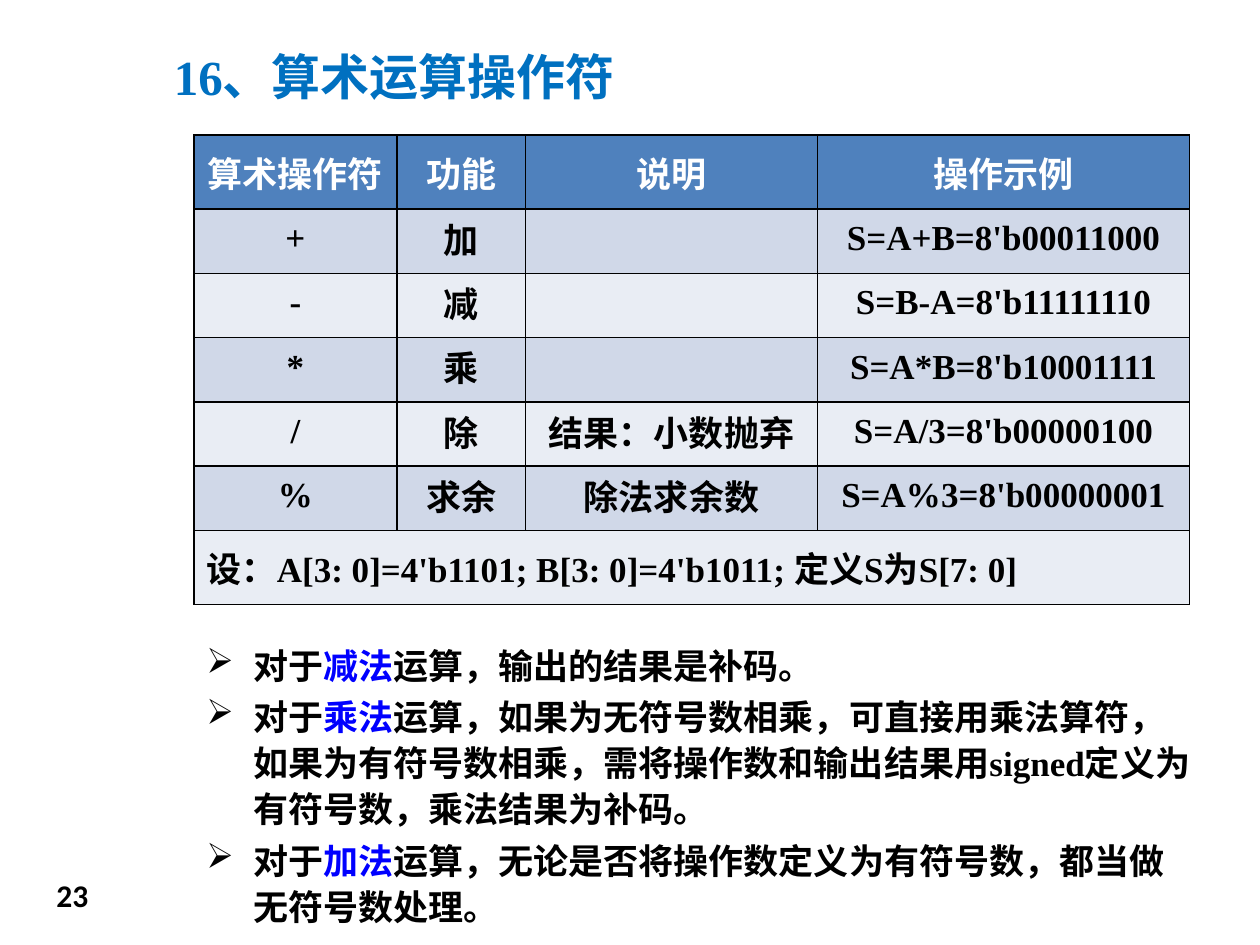
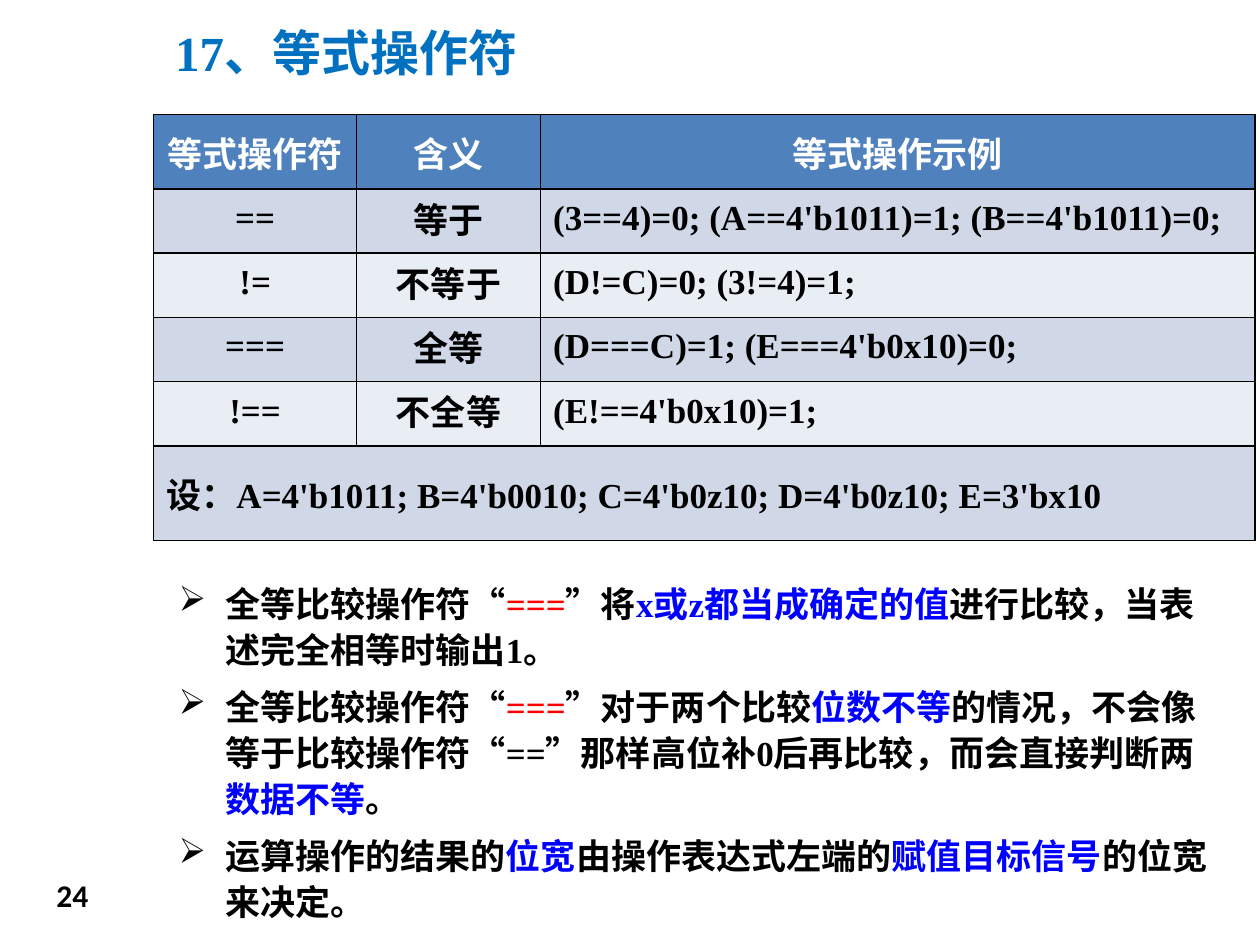
"""Build two lesson slides on arithmetic and equality operators."""
from dataclasses import dataclass
from typing import NamedTuple

from lxml import etree
from pptx import Presentation
from pptx.dml.color import RGBColor
from pptx.enum.text import MSO_ANCHOR, PP_ALIGN
from pptx.oxml.ns import qn
from pptx.util import Inches, Pt

LEFT, MID = PP_ALIGN.LEFT, PP_ALIGN.CENTER
TOP, CENTRE = MSO_ANCHOR.TOP, MSO_ANCHOR.MIDDLE
TITLE_ONLY = 5


@dataclass(frozen=True)
class Theme:
    """Colours, fonts and type sizes of the deck."""
    black: str = "000000"
    white: str = "FFFFFF"
    title: str = "0070C0"
    blue: str = "0000FF"
    red: str = "FF0000"
    head: str = "4F81BD"
    bands: tuple[str, str] = ("D0D8E8", "E9EDF4")
    serif: str = "Times New Roman"
    sans: str = "Calibri"
    big: int = 28
    body: int = 20
    small: int = 18


THEME = Theme()


class Box(NamedTuple):
    """Left, top, width and height in inches."""
    x: float
    y: float
    w: float
    h: float

    def lengths(self) -> list[int]:
        """Return the four measures as lengths."""
        return [Inches(n) for n in self]


class Span(NamedTuple):
    """A piece of text in one colour."""
    text: str
    hue: str = THEME.black


@dataclass(frozen=True)
class Grid:
    """A table with a heading, body rows and a closing merged row."""
    box: Box
    cols: tuple[float, ...]
    rows: tuple[tuple[str, ...], ...]
    note: str
    foot: float
    last: PP_ALIGN


@dataclass(frozen=True)
class Page:
    """All content of one slide."""
    number: int
    title: str
    place: Box
    grid: Grid
    area: Box
    gap: int
    points: tuple[tuple[Span, ...], ...]


NUMBER = Box(0.35, 6.9, 0.63, 0.45)
HEAD_ROW, BODY_ROW = 0.59, 0.51
HANG = 0.37


def blue(text: str) -> Span:
    """Return a span in blue."""
    return Span(text, THEME.blue)


def style(para, size: int, hue: str | None = THEME.black, face: str = THEME.serif) -> None:
    """Set the bold font of a paragraph."""
    font = para.font
    font.name, font.size, font.bold = face, Pt(size), True
    if hue:
        font.color.rgb = RGBColor.from_string(hue)


def border(cell) -> None:
    """Draw thin black lines on all sides of a cell."""
    props = cell._tc.get_or_add_tcPr()
    for side in ("lnL", "lnR", "lnT", "lnB"):
        line = etree.SubElement(props, qn(f"a:{side}"), w=str(Pt(1)))
        fill = etree.SubElement(line, qn("a:solidFill"))
        etree.SubElement(fill, qn("a:srgbClr"), val=THEME.black)


def bullet(para) -> None:
    """Give a paragraph a hanging arrow bullet."""
    props = para._p.get_or_add_pPr()
    props.set("marL", str(Inches(HANG)))
    props.set("indent", str(-Inches(HANG)))
    tint = etree.SubElement(props, qn("a:buClr"))
    etree.SubElement(tint, qn("a:srgbClr"), val=THEME.black)
    etree.SubElement(props, qn("a:buChar"), char="➢")


def add_title(slide, page: Page) -> None:
    """Place and format the title."""
    shape = slide.shapes.title
    shape.left, shape.top, shape.width, shape.height = page.place.lengths()
    frame = shape.text_frame
    frame.text = page.title
    frame.vertical_anchor = CENTRE
    para = frame.paragraphs[0]
    para.alignment = LEFT
    style(para, THEME.big, THEME.title)


def add_grid(slide, grid: Grid) -> None:
    """Draw the operator table."""
    wide, end = len(grid.cols), len(grid.rows)
    table = slide.shapes.add_table(end + 1, wide, *grid.box.lengths()).table
    for col, width in zip(table.columns, grid.cols):
        col.width = Inches(width)
    tall = [HEAD_ROW] + [BODY_ROW] * (end - 1) + [grid.foot]
    closing = (grid.note,) + ("",) * (wide - 1)
    for r, texts in enumerate(grid.rows + (closing,)):
        table.rows[r].height = Inches(tall[r])
        shade = THEME.bands[(r - 1) % 2] if r else THEME.head
        for c, text in enumerate(texts):
            cell = table.cell(r, c)
            border(cell)
            cell.fill.solid()
            cell.fill.fore_color.rgb = RGBColor.from_string(shade)
            cell.vertical_anchor = CENTRE
            cell.text = text
            para = cell.text_frame.paragraphs[0]
            para.alignment = MID
            if r == end:
                para.alignment = LEFT
            elif r:
                para.line_spacing = 0.8
                if c == wide - 1:
                    para.alignment = grid.last
            style(para, THEME.body, THEME.black if r else THEME.white)
    table.cell(end, 0).merge(table.cell(end, wide - 1))


def add_frame(slide, box: Box):
    """Add a wrapping text box and return its frame."""
    frame = slide.shapes.add_textbox(*box.lengths()).text_frame
    frame.word_wrap = True
    frame.vertical_anchor = TOP
    return frame


def add_points(slide, page: Page) -> None:
    """Write the bulleted remarks."""
    frame = add_frame(slide, page.area)
    for i, spans in enumerate(page.points):
        para = frame.add_paragraph() if i else frame.paragraphs[0]
        bullet(para)
        para.line_spacing, para.space_after = 1.1, Pt(page.gap)
        style(para, THEME.body, None)
        for span in spans:
            run = para.add_run()
            run.text = span.text
            run.font.color.rgb = RGBColor.from_string(span.hue)


def add_number(slide, page: Page) -> None:
    """Write the page number."""
    frame = add_frame(slide, NUMBER)
    frame.text = str(page.number)
    style(frame.paragraphs[0], THEME.small, face=THEME.sans)


TRIPLE = (Span("全等比较操作符“"), Span("===", THEME.red))

PAGES = (
    Page(
        23, "16、算术运算操作符", Box(1.28, 0.29, 7.65, 0.62),
        Grid(
            Box(1.54, 1.07, 7.9, 3.73), (1.61, 1.02, 2.32, 2.95),
            (
                ("算术操作符", "功能", "说明", "操作示例"),
                ("+", "加", "", "S=A+B=8'b00011000"),
                ("-", "减", "", "S=B-A=8'b11111110"),
                ("*", "乘", "", "S=A*B=8'b10001111"),
                ("/", "除", "结果：小数抛弃", "S=A/3=8'b00000100"),
                ("%", "求余", "除法求余数", "S=A%3=8'b00000001"),
            ),
            "设：A[3: 0]=4'b1101; B[3: 0]=4'b1011; 定义S为S[7: 0]", 0.59, MID,
        ),
        Box(1.54, 5.03, 8.03, 2.41), 3,
        (
            (Span("对于"), blue("减法"), Span("运算，输出的结果是补码。")),
            (Span("对于"), blue("乘法"),
             Span("运算，如果为无符号数相乘，可直接用乘法算符，如果为有符号数相乘，"
                  "需将操作数和输出结果用signed定义为有符号数，乘法结果为补码。")),
            (Span("对于"), blue("加法"),
             Span("运算，无论是否将操作数定义为有符号数，都当做无符号数处理。")),
        ),
    ),
    Page(
        24, "17、等式操作符", Box(1.29, 0.13, 8.36, 0.57),
        Grid(
            Box(1.22, 0.91, 8.74, 3.38), (1.61, 1.46, 5.67),
            (
                ("等式操作符", "含义", "等式操作示例"),
                ("==", "等于", "(3==4)=0; (A==4'b1011)=1; (B==4'b1011)=0;"),
                ("!=", "不等于", "(D!=C)=0; (3!=4)=1;"),
                ("===", "全等", "(D===C)=1; (E===4'b0x10)=0;"),
                ("!==", "不全等", "(E!==4'b0x10)=1;"),
            ),
            "设：A=4'b1011; B=4'b0010; C=4'b0z10; D=4'b0z10; E=3'bx10", 0.75, LEFT,
        ),
        Box(1.32, 4.54, 8.44, 2.86), 6,
        (
            TRIPLE + (Span("”将"), blue("x或z都当成确定的值"),
                      Span("进行比较，当表述完全相等时输出1。")),
            TRIPLE + (Span("”对于两个比较"), blue("位数不等"),
                      Span("的情况，不会像等于比较操作符“==”那样高位补0后再比较，"
                           "而会直接判断两"),
                      blue("数据不等"), Span("。")),
            (Span("运算操作的结果的"), blue("位宽"), Span("由操作表达式左端的"),
             blue("赋值目标信号"), Span("的位宽来决定。")),
        ),
    ),
)


def main() -> None:
    """Build and save the deck."""
    deck = Presentation()
    deck.slide_width, deck.slide_height = Inches(10), Inches(7.5)
    for page in PAGES:
        slide = deck.slides.add_slide(deck.slide_layouts[TITLE_ONLY])
        add_title(slide, page)
        add_grid(slide, page.grid)
        add_points(slide, page)
        add_number(slide, page)
    deck.save("out.pptx")


if __name__ == "__main__":
    main()
